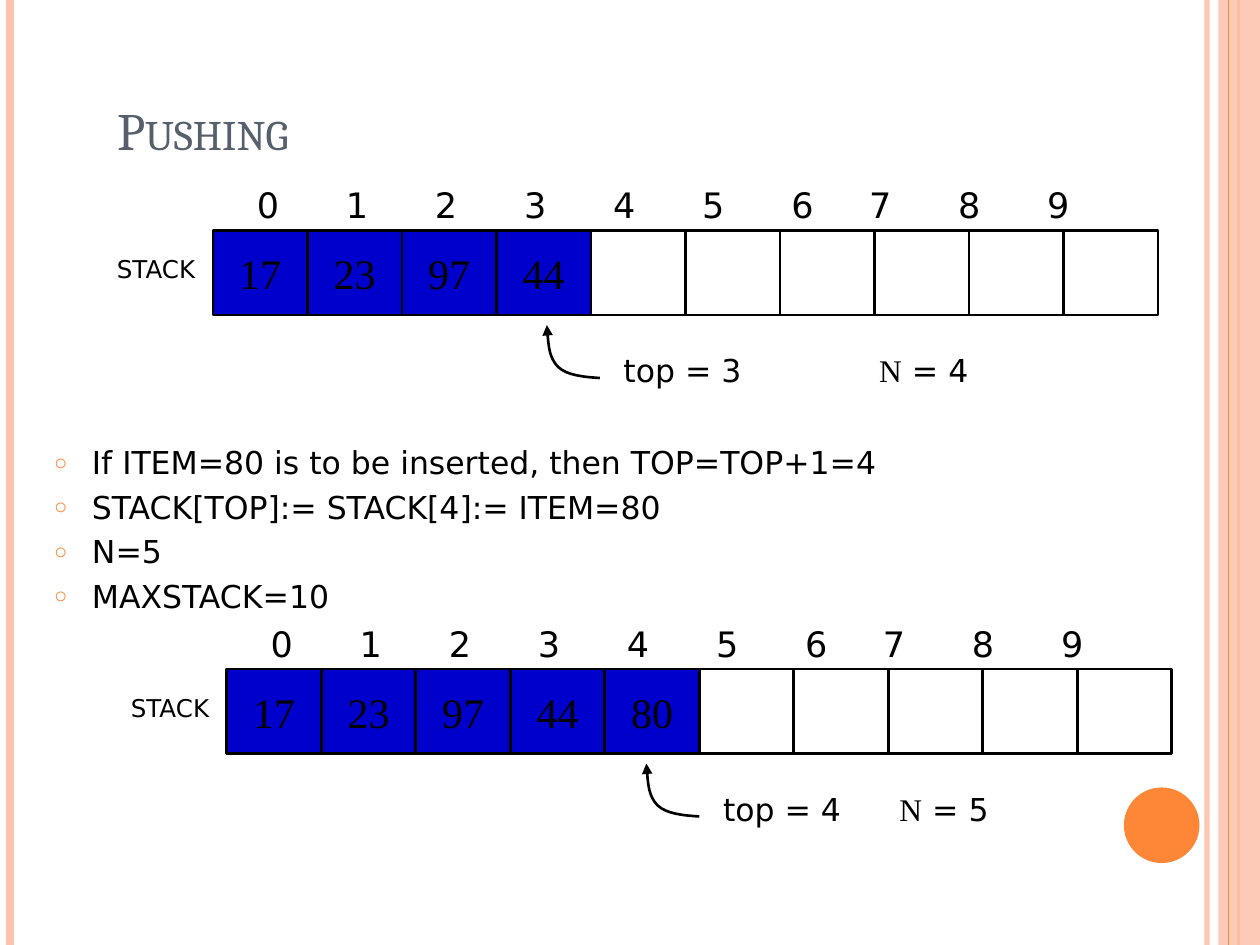
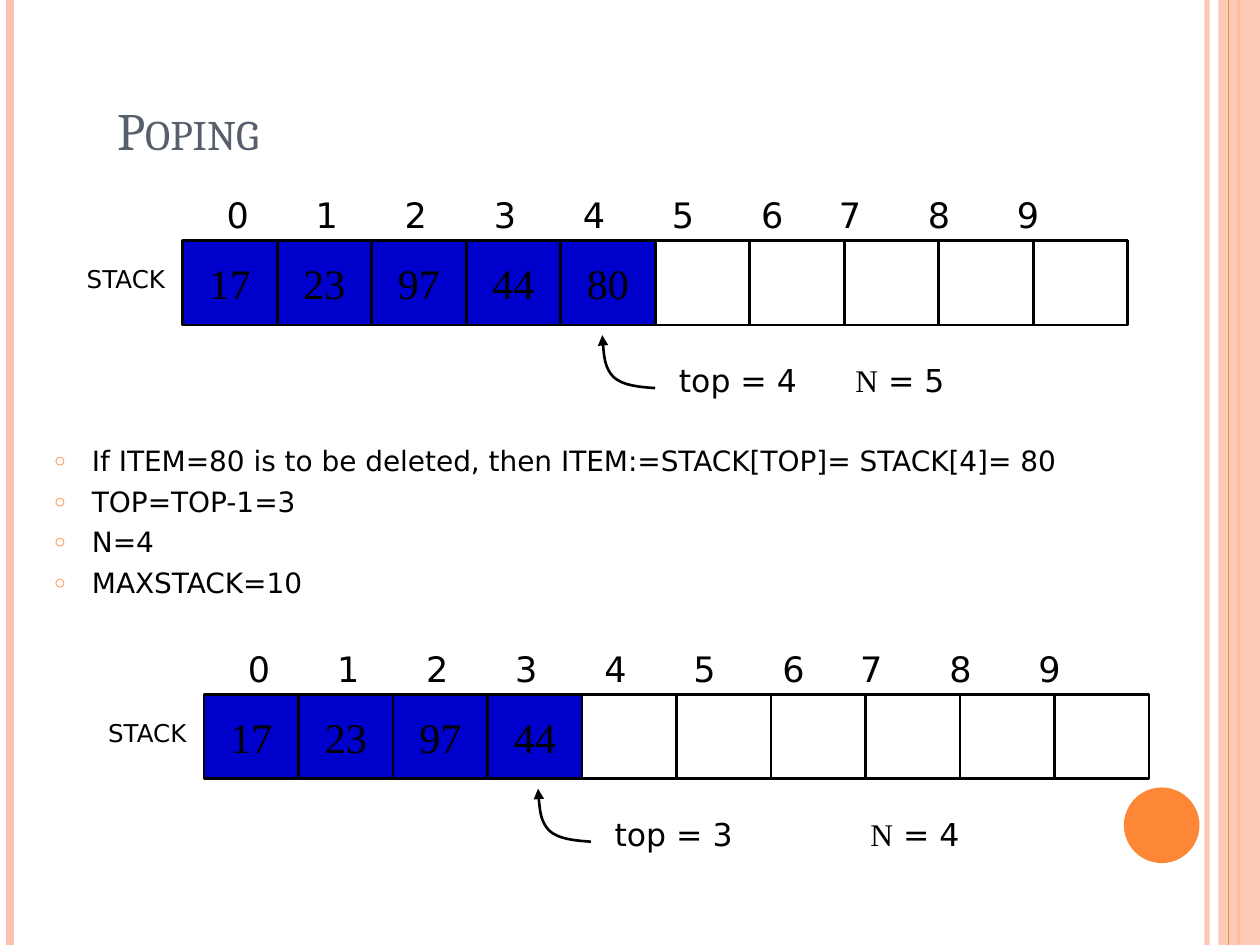
from lxml import etree
from pptx import Presentation
from pptx.dml.color import RGBColor
from pptx.enum.shapes import MSO_CONNECTOR, MSO_SHAPE
from pptx.enum.text import MSO_ANCHOR, MSO_AUTO_SIZE, PP_ALIGN
from pptx.oxml.ns import qn
from pptx.util import Inches, Pt

LEFT, CENTER = PP_ALIGN.LEFT, PP_ALIGN.CENTER
TOP, MIDDLE, BOTTOM = MSO_ANCHOR.TOP, MSO_ANCHOR.MIDDLE, MSO_ANCHOR.BOTTOM
NO_AUTOFIT = MSO_AUTO_SIZE.NONE
RECTANGLE, OVAL = MSO_SHAPE.RECTANGLE, MSO_SHAPE.OVAL
STRAIGHT = MSO_CONNECTOR.STRAIGHT

PEACH = RGBColor(0xFE, 0xC3, 0xAE)
ORANGE = RGBColor(0xFE, 0x86, 0x37)
SLATE = RGBColor(0x57, 0x5F, 0x6D)
BLUE = RGBColor(0x00, 0x00, 0xCC)
BLACK = RGBColor(0x00, 0x00, 0x00)

TITLE_FONT, SANS, SERIF = "Cambria", "DejaVu Sans", "Times New Roman"

WIDTH, HEIGHT = 10, 7.5
CELL_WIDTH, CELL_HEIGHT = 0.75, 0.67
CAPACITY = 10
INDEX_STEP = 0.707
LATE_INDEX, LATE_SHIFT = 7, 0.09   # indices from 7 on sit a little closer
POINTER_STEP = 0.68                # shift of the pointer for one more item
POINTER_SIZE = 0.42

# Curve of the pointer as shares of its size: start, then two cubic segments
POINTER_CURVE = [(1, 1), (0.69, 0.98), (0.38, 0.95), (0.21, 0.79),
                 (0.05, 0.62), (0.02, 0.31), (0, 0)]


def inches(*lengths):
    return [Inches(length) for length in lengths]


def add_xml(parent, tag, **attributes):
    return etree.SubElement(parent, qn(tag), attributes)


def set_opacity(shape_part, percent):
    """Make the first solid colour below an XML element partly transparent."""
    color = next(shape_part.iter(qn("a:srgbClr")))
    add_xml(color, "a:alpha", val=str(percent * 1000))


def add_span(para, text, font, size, color=BLACK):
    span = para.add_run()
    span.text = text
    span.font.name = font
    span.font.size = Pt(size)
    span.font.color.rgb = color
    return span


def add_label(shapes, left, top, width, height, size, spans):
    """Add a one-line text box; spans are (text, font) pairs."""
    box = shapes.add_textbox(*inches(left, top, width, height))
    box.text_frame.word_wrap = True
    para = box.text_frame.paragraphs[0]
    for text, font in spans:
        add_span(para, text, font, size)
    return para


def add_plain_shape(shapes, kind, left, top, width, height, fill=None):
    shape = shapes.add_shape(kind, *inches(left, top, width, height))
    shape.shadow.inherit = False
    if fill is None:
        shape.fill.background()
    else:
        shape.fill.solid()
        shape.fill.fore_color.rgb = fill
    shape.line.fill.background()
    return shape


def add_vertical_rule(shapes, x, color, weight, opacity=100):
    rule = shapes.add_connector(STRAIGHT, *inches(x, 0, x, HEIGHT))
    rule.line.color.rgb = color
    rule.line.width = Pt(weight)
    properties = rule.element.spPr
    if opacity < 100:
        set_opacity(properties, opacity)
    add_xml(properties, "a:effectLst")
    return rule


def decorate_layout(layout, slide):
    """Draw the side bands on a slide and move them to its layout."""
    shapes = slide.shapes
    band_rule = add_vertical_rule(shapes, 9.58, PEACH, 3, 93)
    left_rule = add_vertical_rule(shapes, 0.08, PEACH, 4.5)
    inner_rule = add_vertical_rule(shapes, 9.83, ORANGE, 1.5)
    band = add_plain_shape(shapes, RECTANGLE, 9.67, 0, 0.33, HEIGHT, PEACH)
    set_opacity(band.element.spPr, 87)
    thin_rule = add_vertical_rule(shapes, 9.75, ORANGE, 0.75)
    disc = add_plain_shape(shapes, OVAL, 8.92, 6.25, 0.6, 0.6, ORANGE)
    for part in (band_rule, left_rule, inner_rule, band, thin_rule, disc):
        layout.shapes.element.append(part.element)


def place_placeholders(layout):
    areas = [(0.83, 0.33, 8.5, 1), (0.33, 3.5, 9.27, 1.94)]
    for holder, area in zip(layout.placeholders, areas):
        holder.left, holder.top, holder.width, holder.height = inches(*area)


def write_title(slide, text):
    frame = slide.shapes.title.text_frame
    frame.auto_size = NO_AUTOFIT
    frame.vertical_anchor = BOTTOM
    para = frame.paragraphs[0]
    para.alignment = LEFT
    span = add_span(para, text, TITLE_FONT, 30, SLATE)
    span._r.get_or_add_rPr().set("cap", "small")


def add_bullet(para):
    properties = para._p.get_or_add_pPr()
    properties.set("marL", str(Inches(0.3)))
    properties.set("indent", str(-Inches(0.3)))
    color = add_xml(properties, "a:buClr")
    add_xml(color, "a:srgbClr", val=str(ORANGE))
    add_xml(properties, "a:buSzPct", val="70000")
    add_xml(properties, "a:buChar", char="○")


def write_steps(slide, steps, size):
    frame = slide.placeholders[1].text_frame
    frame.auto_size = NO_AUTOFIT
    frame.vertical_anchor = TOP
    for number, step in enumerate(steps):
        para = frame.add_paragraph() if number else frame.paragraphs[0]
        add_bullet(para)
        para.line_spacing = 0.9
        para.space_before = Pt(6 if number else 0)
        add_span(para, step, SANS, size)


def add_cell(shapes, left, top, value):
    fill = BLUE if value else None
    cell = add_plain_shape(shapes, RECTANGLE, left, top,
                           CELL_WIDTH, CELL_HEIGHT, fill)
    cell.line.color.rgb = BLACK
    cell.line.width = Pt(1.5)
    if value:
        frame = cell.text_frame
        frame.word_wrap = False
        frame.vertical_anchor = MIDDLE
        para = frame.paragraphs[0]
        para.alignment = CENTER
        add_span(para, value, SERIF, 24)


def add_indices(shapes, left, top):
    """Add the cell numbers as one line with a tab stop for each."""
    numbers = "\t".join(str(index) for index in range(CAPACITY))
    para = add_label(shapes, left, top, 7.67, 0.43, 20, [(numbers, SANS)])
    stops = add_xml(para._p.get_or_add_pPr(), "a:tabLst")
    for index in range(1, CAPACITY):
        shift = LATE_SHIFT if index >= LATE_INDEX else 0
        position = Inches(INDEX_STEP * index - shift)
        add_xml(stops, "a:tab", pos=str(position), algn="l")


def add_pointer(shapes, left, top):
    """Add the curved arrow that points up at the top item."""
    points = [inches(left + x * POINTER_SIZE, top + y * POINTER_SIZE)
              for x, y in POINTER_CURVE]
    builder = shapes.build_freeform(*points[0])
    builder.add_line_segments(points[1:], close=False)
    arrow = builder.convert_to_shape()
    arrow.shadow.inherit = False
    arrow.fill.background()
    arrow.line.color.rgb = BLACK
    arrow.line.width = Pt(1.5)

    path = next(arrow.element.iter(qn("a:path")))
    segments = path.findall(qn("a:lnTo"))
    for start in range(0, len(segments), 3):
        curve = add_xml(path, "a:cubicBezTo")
        for segment in segments[start:start + 3]:
            curve.append(segment[0])
            path.remove(segment)
    outline = arrow.element.spPr.find(qn("a:ln"))
    add_xml(outline, "a:tailEnd", type="triangle")


def add_stack(slide, left, top, items):
    """Draw a stack as a row of cells with its indices, pointer and count."""
    shapes = slide.shapes.add_group_shape().shapes
    values = items + [None] * (CAPACITY - len(items))
    # Empty cells go first so that the filled ones keep their full outline.
    for index in reversed(range(CAPACITY)):
        add_cell(shapes, left + index * CELL_WIDTH, top, values[index])
    add_indices(shapes, left + 0.25, top - 0.42)
    add_label(shapes, left - 0.86, top + 0.14, 0.86, 0.33, 14,
              [("STACK", SANS)])

    top_index = len(items) - 1
    extra = top_index - 3
    pointer_left = left + 2.65 + extra * POINTER_STEP
    add_pointer(shapes, pointer_left, top + 0.75)
    add_label(shapes, pointer_left + 0.51, top + 0.91, 1.83, 0.4, 18,
              [(f"top = {top_index}", SANS)])
    add_label(shapes, left + 5.19 + extra * 0.05, top + 0.91, 1.5, 0.4, 18,
              [("N", SERIF), (f" = {len(items)}", SANS)])


def add_page(deck, layout, title, steps, size):
    slide = deck.slides.add_slide(layout)
    write_title(slide, title)
    write_steps(slide, steps, size)
    return slide


def main():
    deck = Presentation()
    deck.slide_width, deck.slide_height = inches(WIDTH, HEIGHT)
    layout = deck.slide_layouts[1]
    place_placeholders(layout)

    four_items = ["17", "23", "97", "44"]
    five_items = four_items + ["80"]

    pushing = add_page(deck, layout, "Pushing", [
        "If ITEM=80 is to be inserted, then TOP=TOP+1=4",
        "STACK[TOP]:= STACK[4]:= ITEM=80",
        "N=5",
        "MAXSTACK=10",
    ], 18)
    decorate_layout(layout, pushing)
    add_stack(pushing, 1.69, 1.83, four_items)
    add_stack(pushing, 1.8, 5.31, five_items)

    popping = add_page(deck, layout, "Poping", [
        "If ITEM=80 is to be deleted, then ITEM:=STACK[TOP]= STACK[4]= 80",
        "TOP=TOP-1=3",
        "N=4",
        "MAXSTACK=10",
    ], 16)
    add_stack(popping, 1.45, 1.91, five_items)
    add_stack(popping, 1.62, 5.51, four_items)

    deck.save("out.pptx")


if __name__ == "__main__":
    main()
